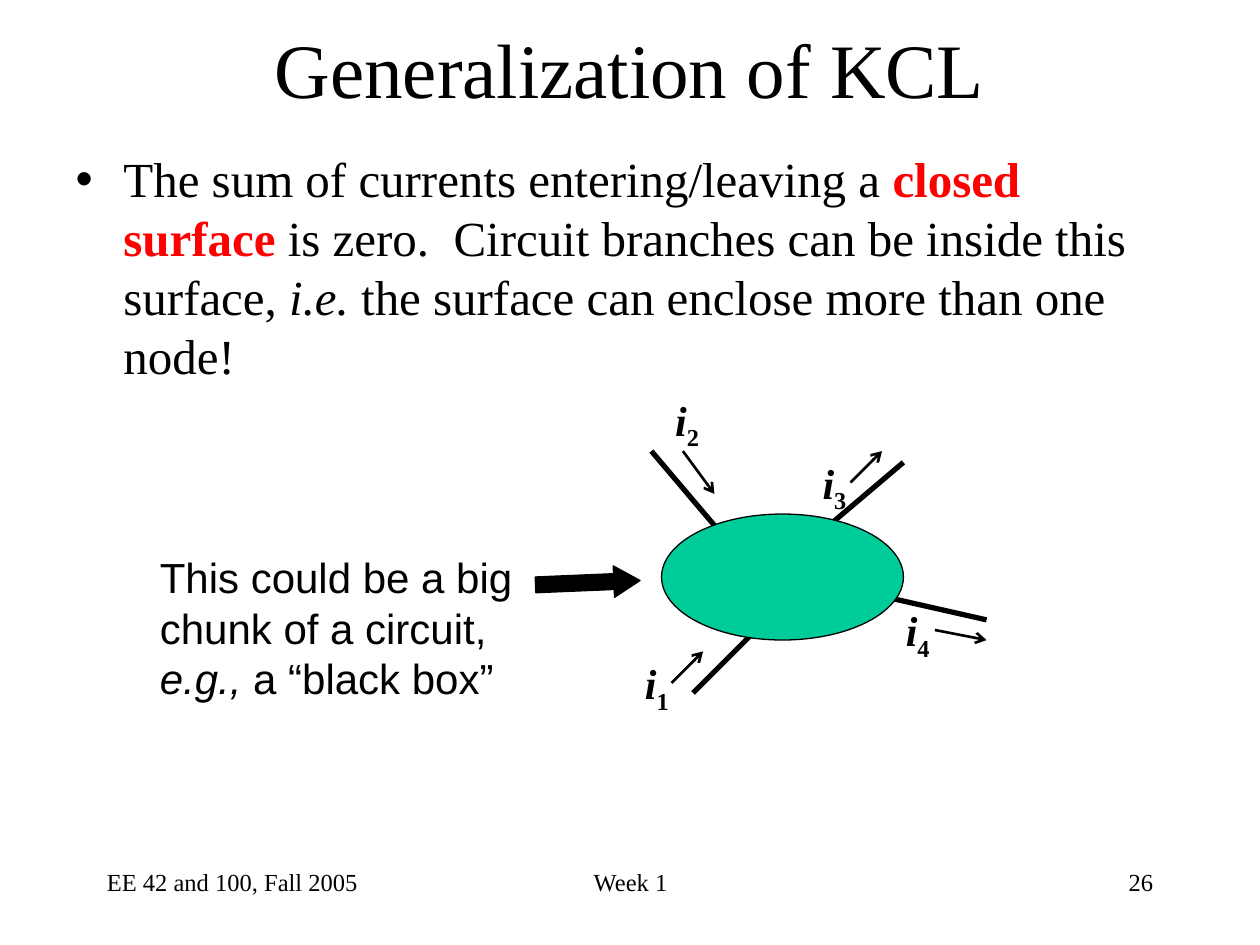
from lxml import etree
from pptx import Presentation
from pptx.dml.color import RGBColor
from pptx.enum.shapes import MSO_CONNECTOR, MSO_SHAPE
from pptx.enum.text import MSO_ANCHOR, MSO_AUTO_SIZE, PP_ALIGN
from pptx.oxml.ns import qn
from pptx.util import Inches, Pt

LEFT, CENTER, RIGHT = PP_ALIGN.LEFT, PP_ALIGN.CENTER, PP_ALIGN.RIGHT
TOP, MIDDLE = MSO_ANCHOR.TOP, MSO_ANCHOR.MIDDLE
SERIF, SANS = "Times New Roman", "Arial"
BLACK, RED, GREEN = "000000", "FF0000", "00CC99"

# Content: each text is a list of (words, style) runs
TITLE = [("Generalization of KCL", {})]
RULE = [
    ("The sum of currents entering/leaving a ", {}),
    ("closed surface", {"bold": True, "color": RED}),
    (" is zero.  Circuit branches can be inside this surface, ", {}),
    ("i.e.", {"italic": True}),
    (" the surface can enclose more than one node!", {}),
]
CALLOUT = [
    ("This could be a big chunk of a circuit, ", {}),
    ("e.g.,", {"italic": True}),
    (" a “black box”", {}),
]
FOOTERS = [  # words, left, width, alignment
    ("EE 42 and 100, Fall 2005", 0.75, 2.33, LEFT),
    ("Week 1", 3.42, 3.17, CENTER),
    ("26", 7.17, 2.08, RIGHT),
]
SURFACE = (5.25, 4.08, 1.92, 1)
BRANCHES = [  # subscript, label corner, wire ends, current arrow from and to
    ("1", (5.02, 5.17), ((5.5, 5.5), (6, 5)), ((5.33, 5.42), (5.58, 5.17))),
    ("2", (5.26, 3.08), ((5.17, 3.58), (5.67, 4.17)), ((5.42, 3.58), (5.67, 3.92))),
    ("3", (6.43, 3.58), ((6.58, 4.17), (7.17, 3.67)), ((6.75, 3.83), (7, 3.58))),
    ("4", (7.09, 4.75), ((7.08, 4.75), (7.83, 4.92)), ((7.42, 5), (7.83, 5.08))),
]


def rgb(color):
    return RGBColor.from_string(color)


def place(shape, box):
    shape.left, shape.top, shape.width, shape.height = map(Inches, box)


def write(shape, runs, size, font=SERIF, align=LEFT, anchor=TOP, wrap=True):
    frame = shape.text_frame
    frame.auto_size = MSO_AUTO_SIZE.NONE
    frame.word_wrap = wrap
    frame.vertical_anchor = anchor
    paragraph = frame.paragraphs[0]
    paragraph.alignment = align
    paragraph.space_before = Pt(0)
    for words, style in runs:
        run = paragraph.add_run()
        run.text = words
        run.font.name, run.font.size = font, Pt(size)
        run.font.bold = style.get("bold", False)
        run.font.italic = style.get("italic", False)
        run.font.color.rgb = rgb(style.get("color", BLACK))
        if "baseline" in style:
            run.font._element.set("baseline", style["baseline"])
    return paragraph


def add_text(slide, box, runs, size, **options):
    write(slide.shapes.add_textbox(*map(Inches, box)), runs, size, **options)


def add_solid(slide, preset, box, color):
    solid = slide.shapes.add_shape(preset, *map(Inches, box))
    solid.shadow.inherit = False
    solid.fill.solid()
    solid.fill.fore_color.rgb = rgb(color)
    solid.line.color.rgb = rgb(BLACK)
    solid.line.width = Pt(0.75)
    return solid


def add_line(slide, ends, width, arrow=False):
    start, end = ends
    line = slide.shapes.add_connector(MSO_CONNECTOR.STRAIGHT, *map(Inches, start + end))
    line.line.color.rgb = rgb(BLACK)
    line.line.width = Pt(width)
    properties = line._element.spPr
    if arrow:
        etree.SubElement(properties.find(qn("a:ln")), qn("a:tailEnd"), type="arrow")
    etree.SubElement(properties, qn("a:effectLst"))


def main():
    deck = Presentation()
    deck.slide_width, deck.slide_height = Inches(10), Inches(7.5)
    slide = deck.slides.add_slide(deck.slide_layouts[1])

    # Title and bulleted rule
    title, body = slide.placeholders
    place(title, (0.5, 0.12, 9, 0.84))
    write(title, TITLE, 44, align=CENTER, anchor=MIDDLE)
    place(body, (0.5, 1.13, 9, 2.12))
    rule = write(body, RULE, 28)
    indent = rule._p.get_or_add_pPr()
    indent.set("marL", str(Inches(0.38)))
    indent.set("indent", str(-Inches(0.38)))
    etree.SubElement(indent, qn("a:buChar"), char="•")

    # Footer row
    for words, left, width, align in FOOTERS:
        add_text(slide, (left, 6.83, width, 0.5), [(words, {})], 14, align=align)

    # Callout with its block arrow
    add_text(slide, (1.17, 4.33, 3.25, 1.3), CALLOUT, 24, font=SANS, anchor=MIDDLE)
    pointer = add_solid(slide, MSO_SHAPE.RIGHT_ARROW, (4.25, 4.5, 0.83, 0.25), BLACK)
    pointer.adjustments[1] = 0.83
    pointer.rotation = 357.6

    # Wires run under the closed surface, currents and labels lie above it
    for _, _, wire, _ in BRANCHES:
        add_line(slide, wire, 3)
    add_solid(slide, MSO_SHAPE.OVAL, SURFACE, GREEN)
    for subscript, corner, _, current in BRANCHES:
        add_line(slide, current, 1.5, arrow=True)
        label = [("i", {"bold": True, "italic": True}),
                 (subscript, {"bold": True, "baseline": "-25000"})]
        add_text(slide, corner + (0.39, 0.56), label, 24, wrap=False)

    deck.save("out.pptx")


if __name__ == "__main__":
    main()
